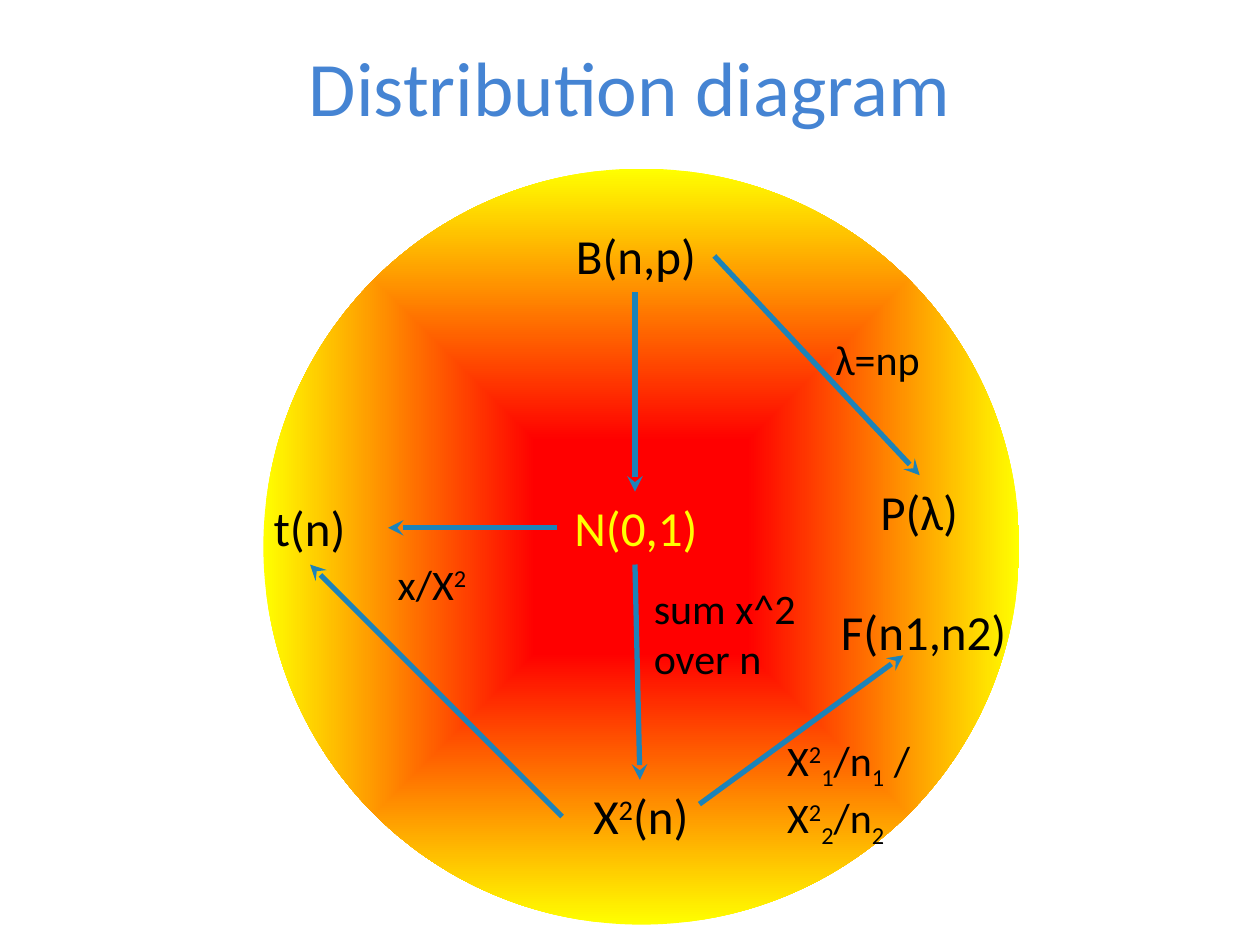
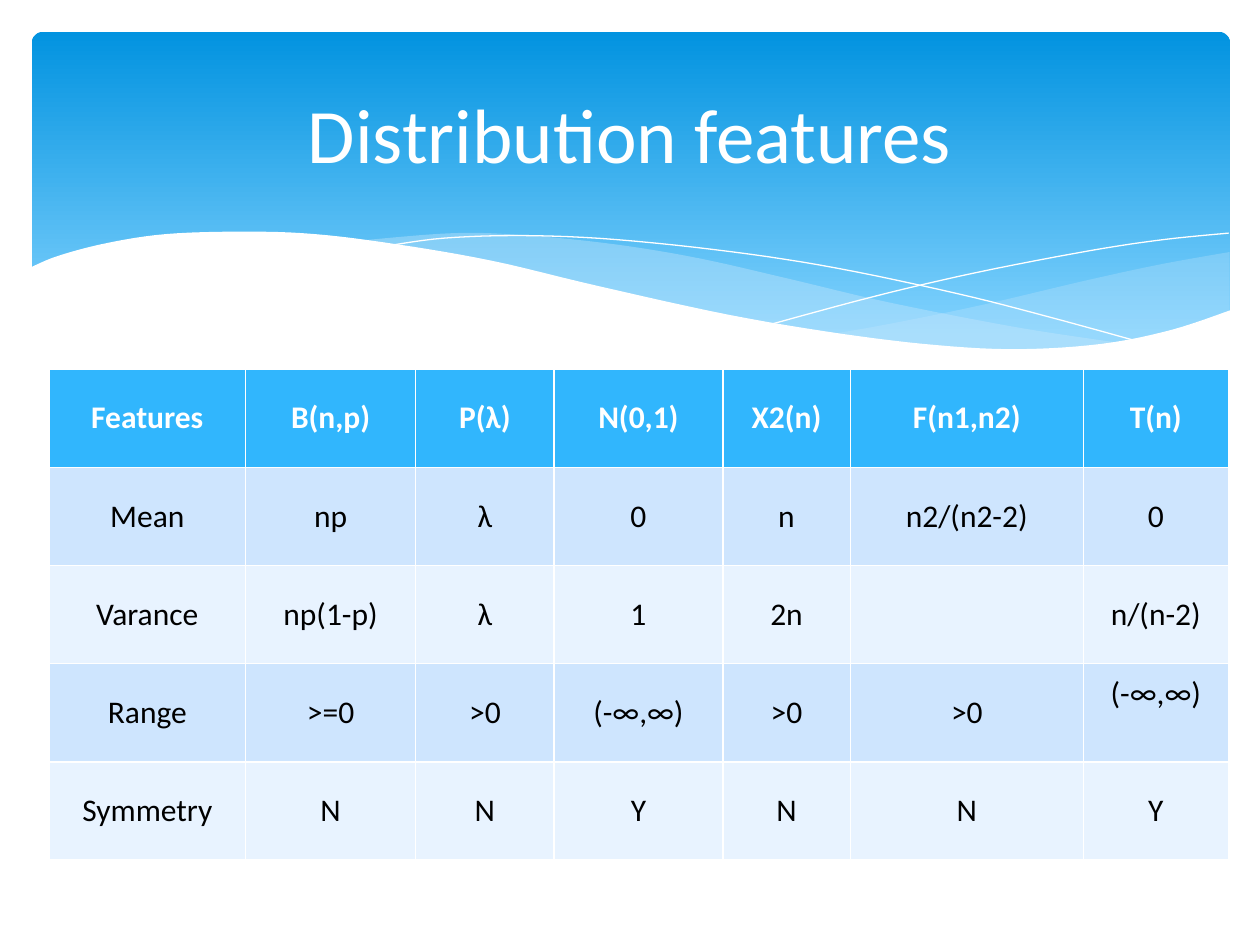
import dataclasses

import pptx
import pptx.dml.color
import pptx.enum.shapes
import pptx.enum.text
import pptx.oxml
import pptx.oxml.ns
import pptx.util

Cm, Pt = pptx.util.Cm, pptx.util.Pt
Align = pptx.enum.text.PP_ALIGN
Anchor = pptx.enum.text.MSO_ANCHOR
Kind = pptx.enum.shapes.MSO_SHAPE
NS = pptx.oxml.ns.nsdecls("a")


@dataclasses.dataclass(frozen=True)
class Theme:
    font: str = "Calibri"
    black: str = "000000"
    white: str = "FFFFFF"
    yellow: str = "FFFF00"
    red: str = "FF0000"
    title: str = "4584D3"
    arrow: str = "1C83B9"
    sky: str = "0293E0"
    pale: str = "83D3FE"
    veil: str = "C6E7FC"
    head: str = "31B6FD"
    bands: tuple = ("CEE5FE", "E8F3FF")
    big: int = 44
    node: int = 28
    note: int = 24
    cell: int = 18


def rgb(color):
    return pptx.dml.color.RGBColor.from_string(color)


def smooth(knots, steps=6):
    """Points of a Catmull-Rom curve through the knots."""
    ends = [knots[0], *knots, knots[-1]]
    points = [knots[0]]
    for a, b, c, d in zip(ends, ends[1:], ends[2:], ends[3:]):
        for step in range(1, steps + 1):
            t = step / steps
            points.append(tuple(
                (2 * q + (r - p) * t + (2 * p - 5 * q + 4 * r - s) * t ** 2
                 + (3 * q - p - 3 * r + s) * t ** 3) / 2
                for p, q, r, s in zip(a, b, c, d)))
    return points


class Deck:
    def __init__(self, theme):
        self.theme = theme
        self.show = pptx.Presentation()
        self.show.slide_width, self.show.slide_height = Cm(25.4), Cm(19.05)
        self.slide = None

    def page(self):
        self.slide = self.show.slides.add_slide(self.show.slide_layouts[6])

    def label(self, para, text, size, color, align, bold=False):
        """Add runs split by |; a leading + raises a run and - lowers it."""
        para.alignment = align
        font = para.font
        font.name, font.size, font.bold = self.theme.font, Pt(size), bold
        font.color.rgb = rgb(color)
        shifts = {"+": "30000", "-": "-25000"}
        for part in text.split("|"):
            run = para.add_run()
            run.text = part.lstrip("+-")
            if part[0] in shifts:
                run._r.get_or_add_rPr().set("baseline", shifts[part[0]])

    def text(self, box, lines, size, color, align=Align.CENTER, grow=True):
        frame = self.slide.shapes.add_textbox(*map(Cm, box)).text_frame
        frame.word_wrap = True
        if grow:
            frame.auto_size = pptx.enum.text.MSO_AUTO_SIZE.SHAPE_TO_FIT_TEXT
        else:
            frame.vertical_anchor = Anchor.MIDDLE
        for i, line in enumerate(lines):
            para = frame.add_paragraph() if i else frame.paragraphs[0]
            self.label(para, line, size, color, align)

    def title(self, text, top, height, color):
        self.text((1.27, top, 22.86, height), [text], self.theme.big, color,
                  grow=False)

    def shade(self, kind, box, stops, way):
        """Add a preset shape with a gradient fill."""
        shape = self.slide.shapes.add_shape(kind, *map(Cm, box))
        shape.shadow.inherit = False
        shape.line.fill.background()
        shape.fill.background()
        marks = "".join(
            f'<a:gs pos="{pos * 1000}"><a:srgbClr val="{color}"/></a:gs>'
            for pos, color in stops)
        grad = pptx.oxml.parse_xml(
            f'<a:gradFill {NS} rotWithShape="1"><a:gsLst>{marks}</a:gsLst>{way}</a:gradFill>')
        props = shape._element.spPr
        props.replace(props.find(pptx.oxml.ns.qn("a:noFill")), grad)
        return shape

    def wave(self, points, fill=None, alpha=100, line=None):
        """Add an outline: closed if filled, open otherwise."""
        first, *rest = [(Cm(x), Cm(y)) for x, y in points]
        build = self.slide.shapes.build_freeform(*first)
        build.add_line_segments(rest, close=fill is not None)
        shape = build.convert_to_shape()
        shape.shadow.inherit = False
        if fill:
            shape.fill.solid()
            shape.fill.fore_color.rgb = rgb(fill)
            tint = shape._element.spPr.find(".//" + pptx.oxml.ns.qn("a:srgbClr"))
            tint.append(pptx.oxml.parse_xml(f'<a:alpha {NS} val="{alpha * 1000}"/>'))
        else:
            shape.fill.background()
        if line:
            shape.line.color.rgb = rgb(line)
            shape.line.width = Pt(0)
        else:
            shape.line.fill.background()

    def arrow(self, start, end):
        link = self.slide.shapes.add_connector(
            pptx.enum.shapes.MSO_CONNECTOR.STRAIGHT, *map(Cm, start + end))
        link.line.color.rgb = rgb(self.theme.arrow)
        link.line.width = Pt(3)
        link.line._get_or_add_ln().append(
            pptx.oxml.parse_xml(f'<a:tailEnd {NS} type="stealth"/>'))
        link._element.spPr.append(pptx.oxml.parse_xml(f"<a:effectLst {NS}/>"))

    def table(self, left, top, widths, height, rows):
        theme = self.theme
        grid = self.slide.shapes.add_table(
            len(rows), len(widths), Cm(left), Cm(top),
            Cm(sum(widths)), Cm(height * len(rows))).table
        for col, width in zip(grid.columns, widths):
            col.width = Cm(width)
        for i, row in enumerate(rows):
            color = theme.black if i else theme.white
            for j, text in enumerate(row):
                cell = grid.cell(i, j)
                cell.vertical_anchor = Anchor.MIDDLE
                cell.fill.solid()
                cell.fill.fore_color.rgb = rgb(theme.bands[(i - 1) % 2] if i else theme.head)
                if text:
                    self.label(cell.text_frame.paragraphs[0], text, theme.cell,
                               color, Align.CENTER, bold=i == 0)
        return grid


def diagram(deck):
    theme = deck.theme
    deck.page()

    # Glowing disc and title
    deck.shade(Kind.OVAL, (5.31, 3.4, 15.24, 15.24),
               [(0, theme.red), (28, theme.red), (100, theme.yellow)],
               '<a:path path="shape"><a:fillToRect l="50000" t="50000" '
               'r="50000" b="50000"/></a:path>')
    deck.title("Distribution diagram", 0.46, 2.54, theme.title)

    # Distributions
    for text, left, top, width, color in [
        ("N(0,1)", 11.23, 9.91, 3.18, theme.yellow),
        ("B(n,p)", 11.23, 4.42, 3.18, theme.black),
        ("P(λ)", 16.94, 9.58, 3.18, theme.black),
        ("t(n)", 4.65, 9.91, 3.18, theme.black),
        ("X|+2|(n)", 11.33, 15.72, 3.18, theme.black),
        ("F(n1,n2)", 16.41, 12.01, 4.42, theme.black),
    ]:
        deck.text((left, top, width, 1.45), [text], theme.node, color)

    # Links between them
    for start, end in [
        ((14.4, 5.16), (18.54, 9.58)),
        ((12.8, 5.89), (12.8, 9.91)),
        ((12.8, 11.38), (12.9, 15.72)),
        ((11.33, 16.46), (6.25, 11.38)),
        ((11.23, 10.64), (7.82, 10.64)),
        ((14.1, 16.21), (18.21, 13.21)),
    ]:
        deck.arrow(start, end)

    # Labels of the links
    for box, lines, align in [
        ((12.93, 11.61, 4.24, 2.31), ["sum x^2", "over n"], Align.LEFT),
        ((15.62, 14.68, 6.71, 2.31),
         ["X|+2|-1|/n|-1| /", "X|+2|-2|/n|-2"], Align.LEFT),
        ((7.14, 11.13, 2.51, 1.27), ["x/X|+2"], Align.RIGHT),
        ((16.59, 6.6, 4.24, 1.27), ["λ=np"], Align.LEFT),
    ]:
        deck.text(box, lines, theme.note, theme.black, align)


def banner(deck):
    theme = deck.theme
    band = deck.shade(Kind.ROUNDED_RECTANGLE, (0.64, 0.64, 24.16, 6.86),
                      [(0, theme.sky), (90, theme.pale)],
                      '<a:lin ang="5400000" scaled="0"/>')
    band.adjustments[0] = 0.034

    # Sheer waves
    wing = smooth([(24.79, 5.08), (23.39, 5.33), (21.87, 5.66), (19.79, 6.15),
                   (17.93, 6.53), (16.79, 6.73)])
    wing += smooth([(16.79, 6.73), (17.91, 6.88), (19.23, 7.01), (20.68, 7.06),
                    (22.15, 6.96), (23.39, 6.73), (24.79, 6.27)])
    deck.wave(wing, theme.veil, 29)
    swell = smooth([(22.68, 6.93), (20.5, 6.6), (17.93, 6.1), (15.98, 5.64),
                    (14.1, 5.21), (12.42, 4.93), (10.67, 4.75), (9.17, 4.7),
                    (7.26, 4.85)])
    swell += smooth([(7.26, 4.85), (9.19, 5.16), (11.4, 5.64), (14.38, 6.3),
                     (16.51, 6.71), (18.34, 6.96), (20.22, 7.06),
                     (21.54, 7.04), (22.68, 6.93)])
    deck.wave(swell, theme.veil, 40)

    # Thin crests
    for crest in [
        [(7.85, 4.95), (8.97, 4.8), (10.57, 4.75), (12.42, 4.83), (14.78, 5.08),
         (16.89, 5.41), (19.3, 5.92), (21.11, 6.38), (23.04, 6.91)],
        [(15.57, 6.53), (17.65, 5.97), (19.71, 5.49), (22, 5.05),
         (23.47, 4.83), (24.77, 4.7)],
    ]:
        deck.wave(smooth(crest), line=theme.white)

    # White wave along the lower edge
    edge = smooth([(24.82, 6.25), (23.62, 6.65), (22.23, 6.93), (20.55, 7.04),
                   (18.9, 6.96), (16.97, 6.73), (14.71, 6.35), (12.07, 5.77),
                   (9.93, 5.26), (8.03, 4.93), (6.35, 4.72), (4.9, 4.67),
                   (3.35, 4.72), (2.16, 4.9), (1.17, 5.16), (0.58, 5.41)])
    deck.wave(edge + [(0.58, 8.36), (24.82, 8.36)], theme.white)


def features(deck):
    deck.page()
    banner(deck)

    # Table of features
    grid = deck.table(0.99, 7.44, [3.96, 3.43, 2.79, 3.4, 2.57, 4.7, 2.92], 1.98, [
        ["Features", "B(n,p)", "P(λ)", "N(0,1)", "X2(n)", "F(n1,n2)", "T(n)"],
        ["Mean", "np", "λ", "0", "n", "n2/(n2-2)", "0"],
        ["Varance", "np(1-p)", "λ", "1", "2n", "", "n/(n-2)"],
        ["Range", ">=0", ">0", "(-∞,∞)", ">0", ">0", "(-∞,∞)"],
        ["Symmetry", "N", "N", "Y", "N", "N", "Y"],
    ])
    grid.cell(3, 6).margin_bottom = Cm(0.89)
    deck.title("Distribution features", 0.94, 3.48, deck.theme.white)


def main():
    deck = Deck(Theme())
    diagram(deck)
    features(deck)
    deck.show.save("out.pptx")


if __name__ == "__main__":
    main()
